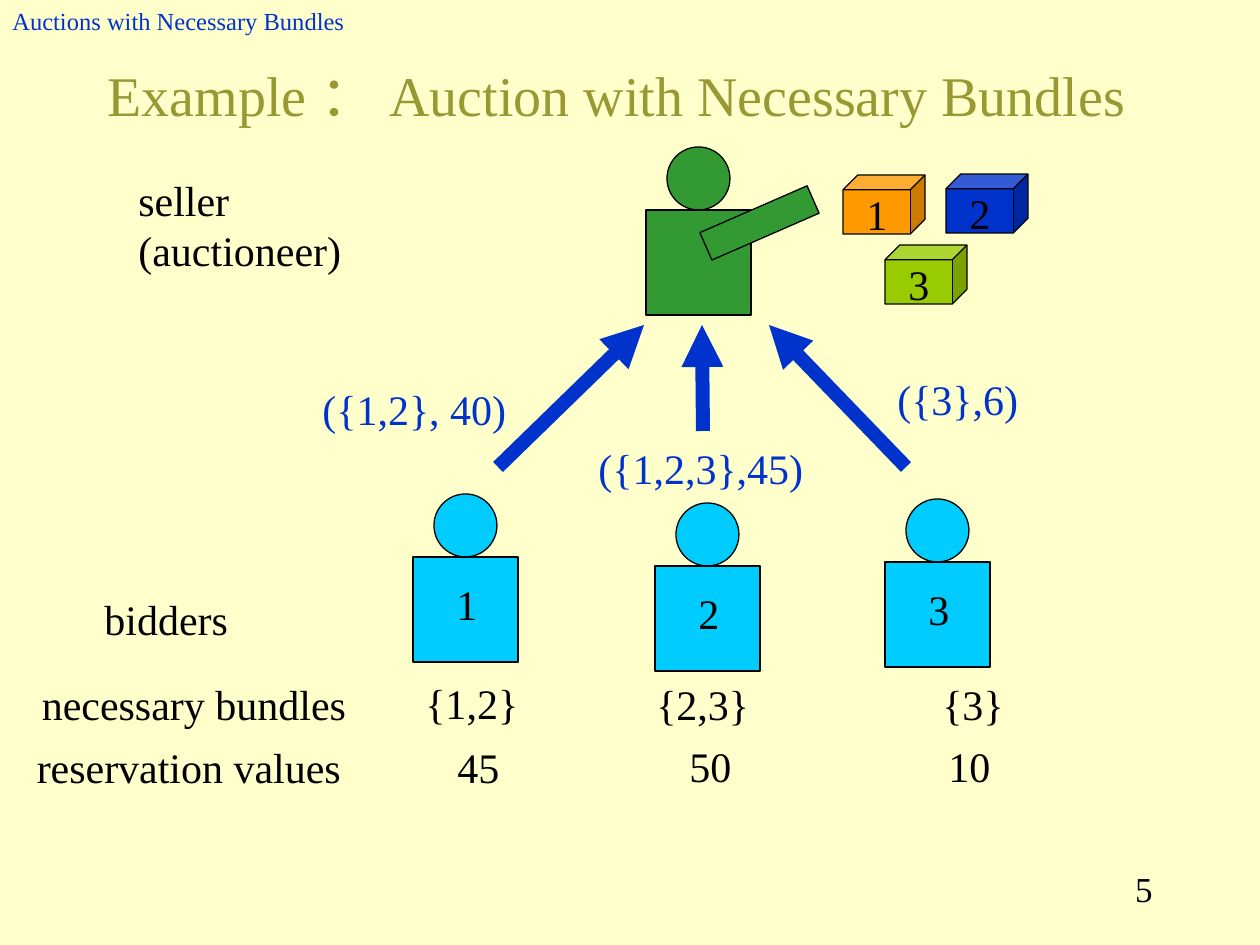
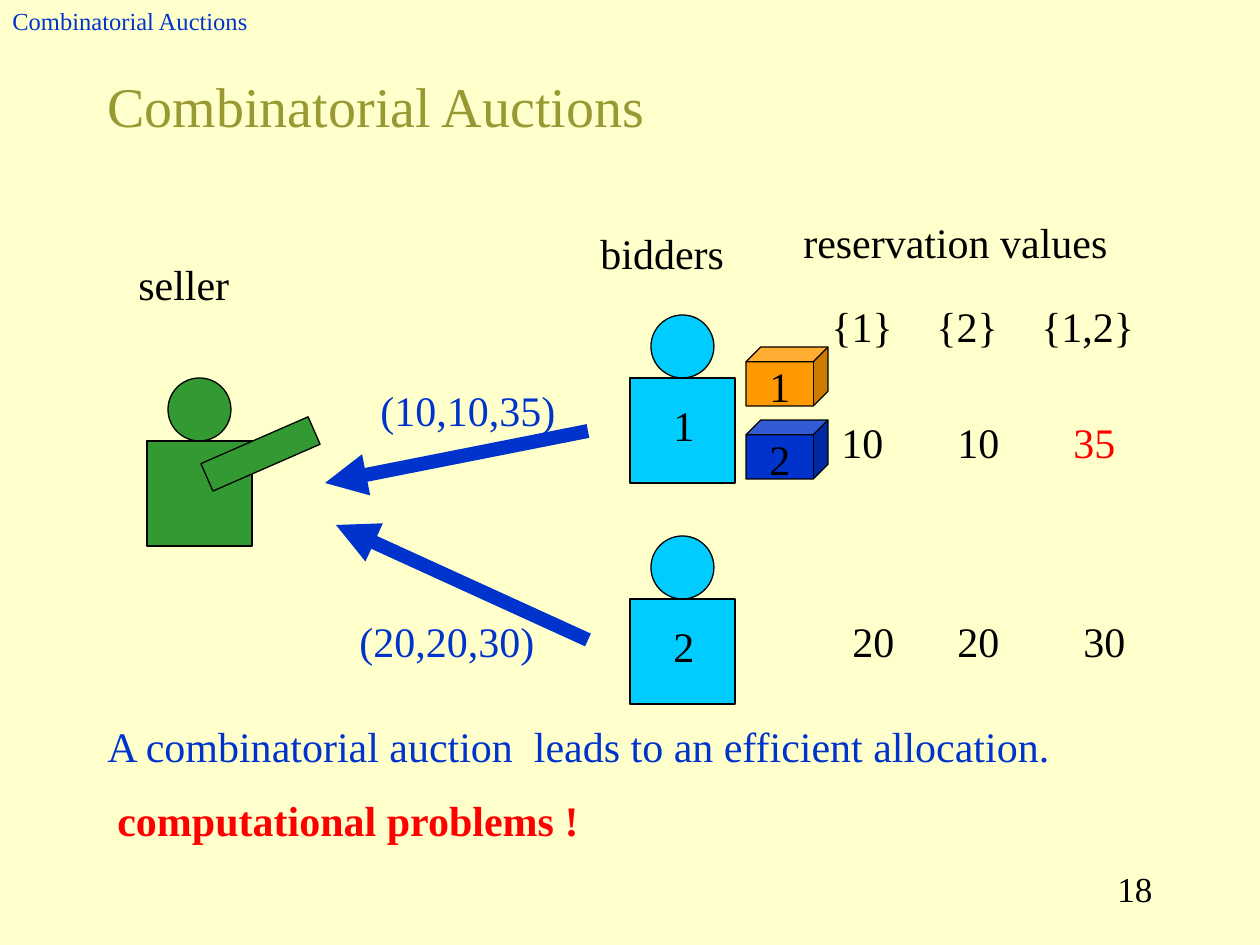
from pptx import Presentation
from pptx.dml.color import RGBColor
from pptx.enum.shapes import MSO_CONNECTOR, MSO_SHAPE
from pptx.enum.text import MSO_ANCHOR, MSO_AUTO_SIZE, PP_ALIGN
from pptx.oxml.ns import qn
from pptx.util import Pt
from lxml.etree import SubElement

PX = 914400 / 126
FONT = "Times New Roman"
COLORS = {
    "paper": "FFFFCC", "title": "999933", "ink": "000000", "blue": "0033CC",
    "red": "FF0000", "seller": "339933", "bidder": "00CCFF",
    "orange": "FF9900", "lime": "99CC00",
}
C = {name: RGBColor.from_string(value) for name, value in COLORS.items()}
LEFT, CENTER, RIGHT = PP_ALIGN.LEFT, PP_ALIGN.CENTER, PP_ALIGN.RIGHT

# Content of each slide: positions in px
SLIDES = [
    {
        "title": ("Example ： Auction with Necessary Bundles", 95, 42, 1071),
        "header": "Auctions with Necessary Bundles",
        "page": "5",
        "seller": (646, 210),
        "bidders": [("1", 413, 557), ("3", 885, 562), ("2", 655, 566)],
        "goods": [("1", 843, 175, "orange"), ("2", 946, 174, "blue"),
                  ("3", 885, 245, "lime")],
        "bids": [(498, 467, 644, 325), (703, 431, 702, 325),
                 (906, 467, 769, 325)],
        "labels": [
            ("seller (auctioneer)", 126, 168, 257, "ink", LEFT),
            ("bidders", 92, 587, 160, "ink", LEFT),
            ("necessary bundles", 5, 672, 378, "ink", CENTER),
            ("reservation values", 5, 735, 368, "ink", CENTER),
            ("{1,2}", 413, 671, 136, "ink", LEFT),
            ("{2,3}", 644, 672, 126, "ink", LEFT),
            ("{3}", 930, 672, 101, "ink", LEFT),
            ("45", 445, 735, 72, "ink", LEFT),
            ("50", 677, 734, 72, "ink", LEFT),
            ("10", 936, 734, 81, "ink", LEFT),
            ("({1,2}, 40)", 310, 377, 210, "blue", LEFT),
            ("({1,2,3},45)", 586, 436, 257, "blue", LEFT),
            ("({3},6)", 885, 367, 179, "blue", LEFT),
        ],
    },
    {
        "title": ("Combinatorial Auctions", 95, 53, 620),
        "header": "Combinatorial Auctions",
        "page": "18",
        "seller": (147, 441),
        "bidders": [("1", 630, 378), ("2", 630, 599)],
        "goods": [("1", 746, 347, "orange"), ("2", 746, 420, "blue")],
        "bids": [(588, 431, 325, 483), (588, 640, 336, 525)],
        "labels": [
            ("seller", 126, 252, 257, "ink", LEFT),
            ("bidders", 588, 221, 159, "ink", LEFT),
            ("reservation values", 777, 210, 357, "ink", CENTER),
            ("{1}", 819, 294, 95, "ink", LEFT),
            ("{2}", 924, 294, 95, "ink", LEFT),
            ("{1,2}", 1029, 294, 136, "ink", LEFT),
            ("10", 829, 410, 84, "ink", LEFT),
            ("10", 945, 410, 72, "ink", LEFT),
            ("35", 1061, 410, 72, "red", LEFT),
            ("20", 840, 609, 72, "ink", LEFT),
            ("20", 945, 609, 72, "ink", LEFT),
            ("30", 1071, 609, 72, "ink", LEFT),
            ("(10,10,35)", 368, 378, 210, "blue", LEFT),
            ("(20,20,30)", 347, 609, 210, "blue", LEFT),
            ("A combinatorial auction  leads to an efficient allocation.",
             95, 714, 1008, "blue", LEFT),
            ("computational problems !", 105, 788, 514, "red", LEFT, True),
        ],
    },
]


def add_text(shapes, text, x, y, w, color="ink", align=LEFT, bold=False,
             h=63, size=24, anchor=MSO_ANCHOR.TOP, sp=None):
    """Write one run into sp, or into a new text box."""
    box = [round(v * PX) for v in (x, y, w, h)]
    if sp is None:
        sp = shapes.add_textbox(*box)
    sp.left, sp.top, sp.width, sp.height = box
    tf = sp.text_frame
    tf.word_wrap = True
    tf.auto_size = MSO_AUTO_SIZE.NONE
    tf.vertical_anchor = anchor
    p = tf.paragraphs[0]
    p.alignment = align
    r = p.add_run()
    r.text = text
    r.font.name, r.font.size, r.font.bold = FONT, Pt(size), bold
    r.font.color.rgb = C[color]


def add_block(shapes, kind, x, y, w, h, color):
    """Add a filled shape with a thin black outline."""
    sp = shapes.add_shape(kind, *[round(v * PX) for v in (x, y, w, h)])
    sp.shadow.inherit = False
    sp.fill.solid()
    sp.fill.fore_color.rgb = C[color]
    sp.line.color.rgb = C["ink"]
    sp.line.width = Pt(0.75)
    return sp


prs = Presentation()
prs.slide_width, prs.slide_height = round(1260 * PX), round(945 * PX)
bg = prs.slide_master.background.fill
bg.solid()
bg.fore_color.rgb = C["paper"]

for page in SLIDES:
    s = prs.slides.add_slide(prs.slide_layouts[5])

    # Title, running header and page number
    add_text(s.shapes, *page["title"], color="title", h=105, size=32,
             anchor=MSO_ANCHOR.MIDDLE, sp=s.shapes.title)
    add_text(s.shapes, page["header"], 0, 0, 451, "blue", h=42, size=14,
             anchor=MSO_ANCHOR.MIDDLE)
    add_text(s.shapes, page["page"], 903, 861, 262, align=RIGHT, size=20)

    # Goods: numbered cubes
    for number, x, y, color in page["goods"]:
        group = s.shapes.add_group_shape().shapes
        add_block(group, MSO_SHAPE.CUBE, x, y, 82, 59, color)
        add_text(group, number, x + 11, y + 7, 43)

    # People: head and body, an arm for the seller, a number for bidders
    people = [(None, *page["seller"])] + page["bidders"]
    for number, x, y in people:
        color = "bidder" if number else "seller"
        group = s.shapes.add_group_shape().shapes
        add_block(group, MSO_SHAPE.OVAL, x + 21, y - 63, 63, 63, color)
        add_block(group, MSO_SHAPE.RECTANGLE, x, y, 105, 105, color)
        if number:
            add_text(group, number, x + 31, y + 15, 52)
        else:
            arm = add_block(group, MSO_SHAPE.RECTANGLE, x + 55, y - 2,
                            117, 30, color)
            arm.rotation = 336.4

    # Bids: thick arrows to the seller
    for ends in page["bids"]:
        cx = s.shapes.add_connector(MSO_CONNECTOR.STRAIGHT,
                                    *[round(v * PX) for v in ends])
        cx.line.color.rgb = C["blue"]
        cx.line.width = Pt(8)
        SubElement(cx.line._get_or_add_ln(), qn("a:tailEnd"), type="triangle")
        SubElement(cx._element.spPr, qn("a:effectLst"))

    # Labels, values and conclusions
    for label in page["labels"]:
        add_text(s.shapes, *label)

prs.save("out.pptx")
